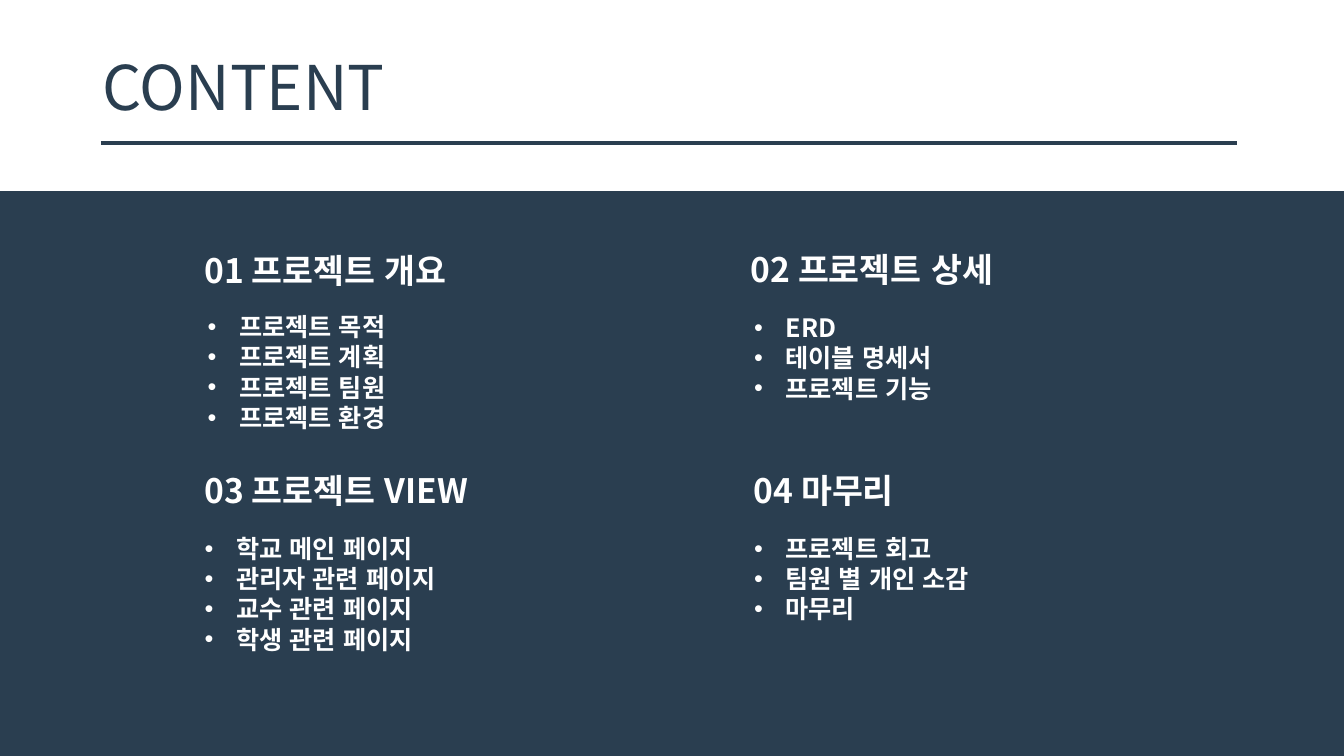
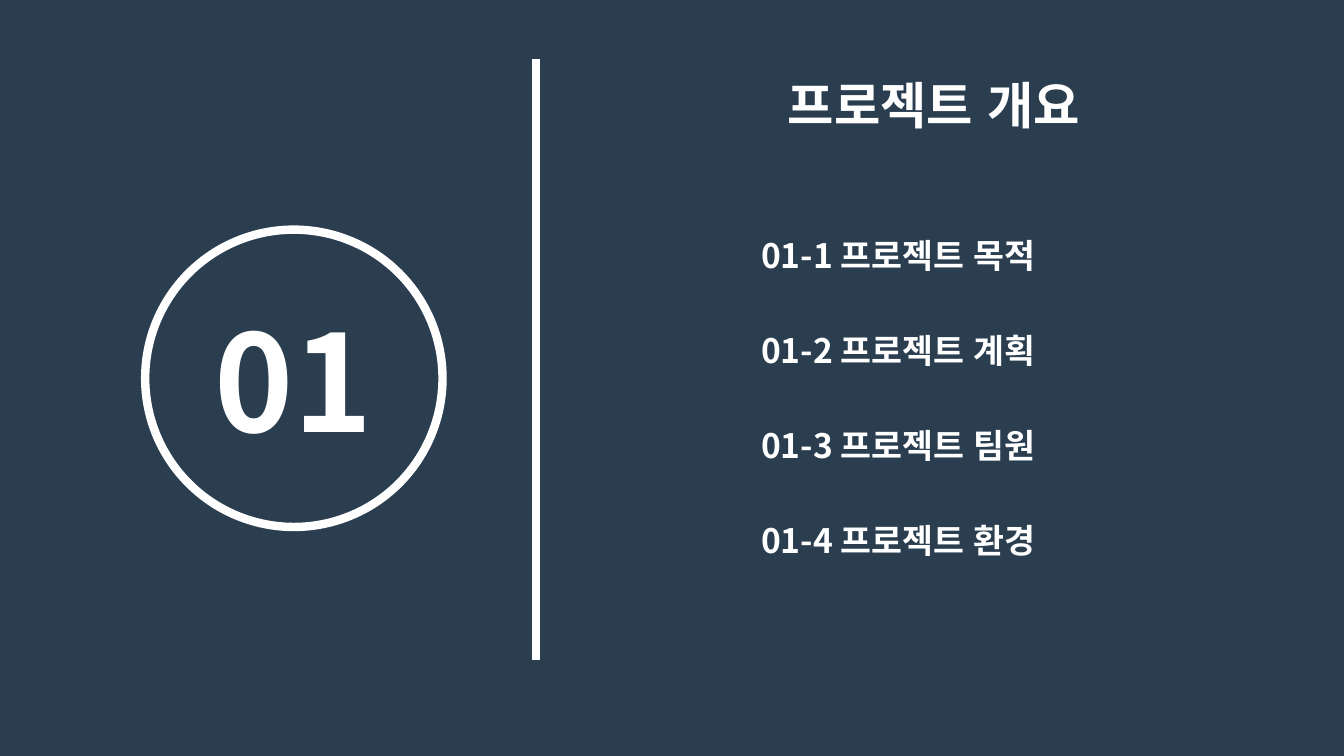
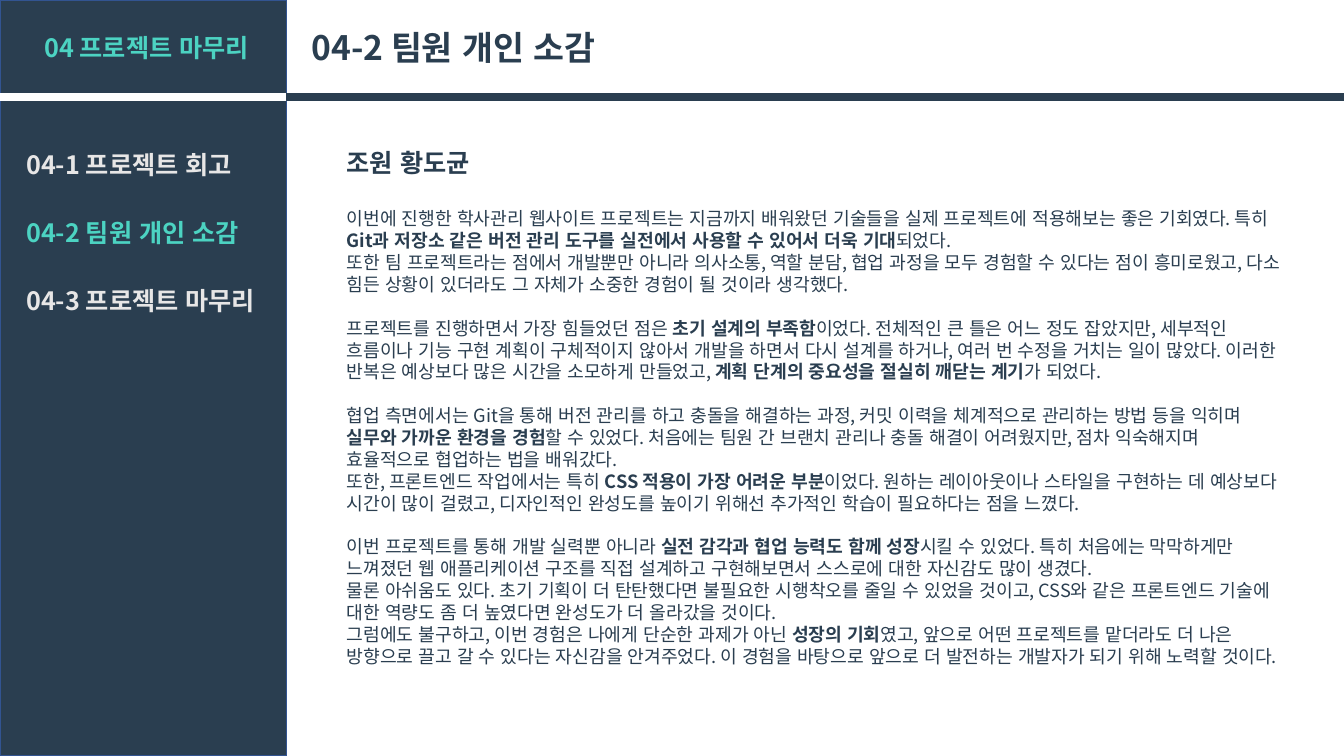
"""Builds the contents, section and review slides of a project report."""
from lxml import etree
from pptx import Presentation
from pptx.dml.color import RGBColor
from pptx.enum.lang import MSO_LANGUAGE_ID
from pptx.enum.shapes import MSO_CONNECTOR, MSO_SHAPE
from pptx.enum.text import MSO_ANCHOR, MSO_AUTO_SIZE, PP_ALIGN
from pptx.oxml.ns import qn
from pptx.util import Pt

RECT, OVAL = MSO_SHAPE.RECTANGLE, MSO_SHAPE.OVAL
LINE = MSO_CONNECTOR.STRAIGHT
LEFT, MID = PP_ALIGN.LEFT, PP_ALIGN.CENTER
TOP, CENTER = MSO_ANCHOR.TOP, MSO_ANCHOR.MIDDLE
FIXED = MSO_AUTO_SIZE.NONE
KOREAN = MSO_LANGUAGE_ID.KOREAN
FONT = "Noto Sans CJK KR"
HEX = {"navy": "2A3E50", "white": "FFFFFF", "mint": "4CD3C2",
       "gray": "E7E6E6", "edge": "325491"}
HUE = {name: RGBColor.from_string(code) for name, code in HEX.items()}


def write(shape, area, lines, size, hue, align=LEFT, anchor=TOP, bullet=False):
    shape.left, shape.top, shape.width, shape.height = map(Pt, area)
    frame = shape.text_frame
    frame.word_wrap, frame.auto_size = True, FIXED
    frame.vertical_anchor = anchor
    for num, (gap, text) in enumerate(lines):
        para = frame.paragraphs[0] if num == 0 else frame.add_paragraph()
        props = para._p.get_or_add_pPr()
        props.set("marL", str(Pt(22.5) if bullet else 0))
        props.set("indent", str(-Pt(22.5) if bullet else 0))
        mark = etree.SubElement(props, qn("a:buChar" if bullet else "a:buNone"))
        if bullet:
            mark.set("char", "•")
        para.alignment = align
        para.space_before = Pt(gap)
        for part, words in enumerate(text.split("*")):
            if words:
                run = para.add_run()
                run.text = words
                font = run.font
                font.name, font.size, font.bold = FONT, Pt(size), part % 2 == 1
                font.color.rgb = HUE[hue]
                font.language_id = KOREAN
                east = etree.Element(qn("a:ea"), typeface=FONT)
                run._r.rPr.find(qn("a:latin")).addnext(east)


def rule(slide, ends, hue, width):
    line = slide.shapes.add_connector(LINE, *map(Pt, ends))
    line.line.color.rgb = HUE[hue]
    line.line.width = Pt(width)
    etree.SubElement(line._element.spPr, qn("a:effectLst"))


deck = Presentation()
deck.slide_width, deck.slide_height = Pt(960), Pt(540)
pages = []
for layout, back in ((4, "white"), (1, "navy"), (3, "white")):
    page = deck.slides.add_slide(deck.slide_layouts[layout])
    page.background.fill.solid()
    page.background.fill.fore_color.rgb = HUE[back]
    pages.append(page)
toc, part, review = pages

for page, kind, area, edge, width in (
        (toc, RECT, (0, 136.8, 960, 403.2), "navy", 1),
        (part, OVAL, (103.7, 164, 212.4, 212.4), "white", 6),
        (review, RECT, (0, 0, 204.5, 540), "edge", 1)):
    panel = page.shapes.add_shape(kind, *map(Pt, area))
    panel.shadow.inherit = False
    panel.fill.solid()
    panel.fill.fore_color.rgb = HUE["navy"]
    panel.line.color.rgb = HUE[edge]
    panel.line.width = Pt(width)
    panel._element.getparent().insert(2, panel._element)
    if kind == OVAL:
        write(panel, area, [(0, "*01*")], 96, "white", MID, CENTER)

write(toc.shapes.title, (66, 12.25, 828, 104.4), [(0, "CONTENT")], 44, "navy",
      anchor=CENTER)
toc.shapes.title.text_frame.paragraphs[0].line_spacing = 0.9
rule(toc, (72, 102.2, 883.5, 102.2), "navy", 3)
groups = (
    (139, 175, 141.1, 218.9, "01 프로젝트 개요",
     ("프로젝트 목적", "프로젝트 계획", "프로젝트 팀원", "프로젝트 환경")),
    (529.2, 174.2, 531.4, 219.6, "02 프로젝트 상세",
     ("ERD", "테이블 명세서", "프로젝트 기능")),
    (139, 332, 139, 377.3, "03 프로젝트 VIEW",
     ("학교 메인 페이지", "관리자 관련 페이지", "교수 관련 페이지", "학생 관련 페이지")),
    (531.4, 332, 531.4, 377.3, "04 마무리",
     ("프로젝트 회고", "팀원 별 개인 소감", "마무리")))
for num, (left, top, inner, below, head, items) in enumerate(groups, 1):
    box = toc.shapes.add_textbox(0, 0, 0, 0)
    write(box, (left, top, 221.8, 36), [(0, f"*{head}*")], 24, "white")
    write(toc.placeholders[num], (inner, below, 378, 7.2 + 21.6 * len(items)),
          [(0, f"*{item}*") for item in items], 18, "white", bullet=True)

write(part.shapes.title, (466.6, 49, 401, 51), [(0, "*프로젝트 개요*")], 36,
      "white", MID)
rule(part, (383, 42.5, 383, 471.6), "white", 6)
topics = ("목적", "계획", "팀원", "환경")
write(part.placeholders[1], (536.4, 164.2, 290.2, 239),
      [(39 if num > 1 else 0, f"*01-{num} 프로젝트 {topic}*")
       for num, topic in enumerate(topics, 1)], 24, "white")

rule(review, (204.5, 69.1, 960, 69.1), "navy", 6)
rule(review, (204.5, 69.1, 0, 69.1), "white", 6)
write(review.shapes.title, (215.3, 15.8, 727.2, 36), [(0, "*04-2 팀원 개인 소감*")],
      24, "navy")
box = review.shapes.add_textbox(0, 0, 0, 0)
write(box, (17.3, 19.4, 175, 28.8), [(0, "*04 프로젝트 마무리*")], 18, "mint", MID)
menu = review.placeholders[1]
write(menu, (11.5, 103, 192.2, 126),
      [(0, "*04-1 프로젝트 회고*"), (27, "*04-2 팀원 개인 소감*"),
       (27, "*04-3 프로젝트 마무리*")], 18, "gray")
menu.text_frame.paragraphs[1].runs[0].font.color.rgb = HUE["mint"]

essay = (
    (0, "*조원 황도균*"),
    (21.6, "이번에 진행한 학사관리 웹사이트 프로젝트는 지금까지 배워왔던 기술들을 실제 프로젝트에 적용해보는 좋은 기회였다. 특히 *Git과 저장소 같은 버전 관리 도구를 실전에서 사용할 수 있어서 더욱 기대*되었다."),
    (0, "또한 팀 프로젝트라는 점에서 개발뿐만 아니라 의사소통, 역할 분담, 협업 과정을 모두 경험할 수 있다는 점이 흥미로웠고, 다소 힘든 상황이 있더라도 그 자체가 소중한 경험이 될 것이라 생각했다."),
    (15.6, "프로젝트를 진행하면서 가장 힘들었던 점은 *초기 설계의 부족함*이었다. 전체적인 큰 틀은 어느 정도 잡았지만, 세부적인 흐름이나 기능 구현 계획이 구체적이지 않아서 개발을 하면서 다시 설계를 하거나, 여러 번 수정을 거치는 일이 많았다. 이러한 반복은 예상보다 많은 시간을 소모하게 만들었고, *계획 단계의 중요성을 절실히 깨닫는 계기*가 되었다."),
    (15.6, "협업 측면에서는 Git을 통해 버전 관리를 하고 충돌을 해결하는 과정, 커밋 이력을 체계적으로 관리하는 방법 등을 익히며 *실무와 가까운 환경을 경험*할 수 있었다. 처음에는 팀원 간 브랜치 관리나 충돌 해결이 어려웠지만, 점차 익숙해지며 효율적으로 협업하는 법을 배워갔다."),
    (0, "또한, 프론트엔드 작업에서는 특히 *CSS 적용이 가장 어려운 부분*이었다. 원하는 레이아웃이나 스타일을 구현하는 데 예상보다 시간이 많이 걸렸고, 디자인적인 완성도를 높이기 위해선 추가적인 학습이 필요하다는 점을 느꼈다."),
    (15.6, "이번 프로젝트를 통해 개발 실력뿐 아니라 *실전 감각과 협업 능력도 함께 성장*시킬 수 있었다. 특히 처음에는 막막하게만 느껴졌던 웹 애플리케이션 구조를 직접 설계하고 구현해보면서 스스로에 대한 자신감도 많이 생겼다."),
    (0, "물론 아쉬움도 있다. 초기 기획이 더 탄탄했다면 불필요한 시행착오를 줄일 수 있었을 것이고, CSS와 같은 프론트엔드 기술에 대한 역량도 좀 더 높였다면 완성도가 더 올라갔을 것이다."),
    (0, "그럼에도 불구하고, 이번 경험은 나에게 단순한 과제가 아닌 *성장의 기회*였고, 앞으로 어떤 프로젝트를 맡더라도 더 나은 방향으로 끌고 갈 수 있다는 자신감을 안겨주었다. 이 경험을 바탕으로 앞으로 더 발전하는 개발자가 되기 위해 노력할 것이다."))
body = review.placeholders[2]
write(body, (240.5, 101.5, 681, 408.2), essay, 13, "navy")
body.text_frame.paragraphs[0].runs[0].font.size = Pt(18)

deck.save("out.pptx")
